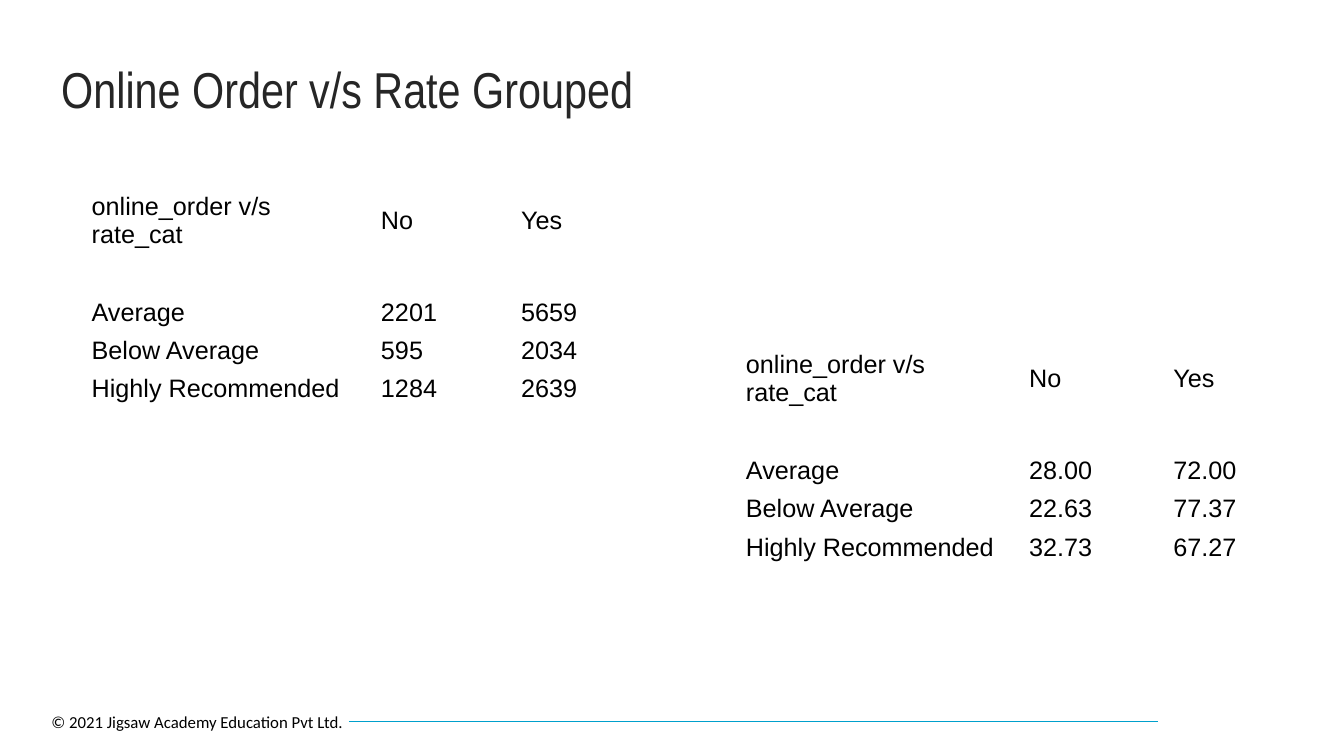
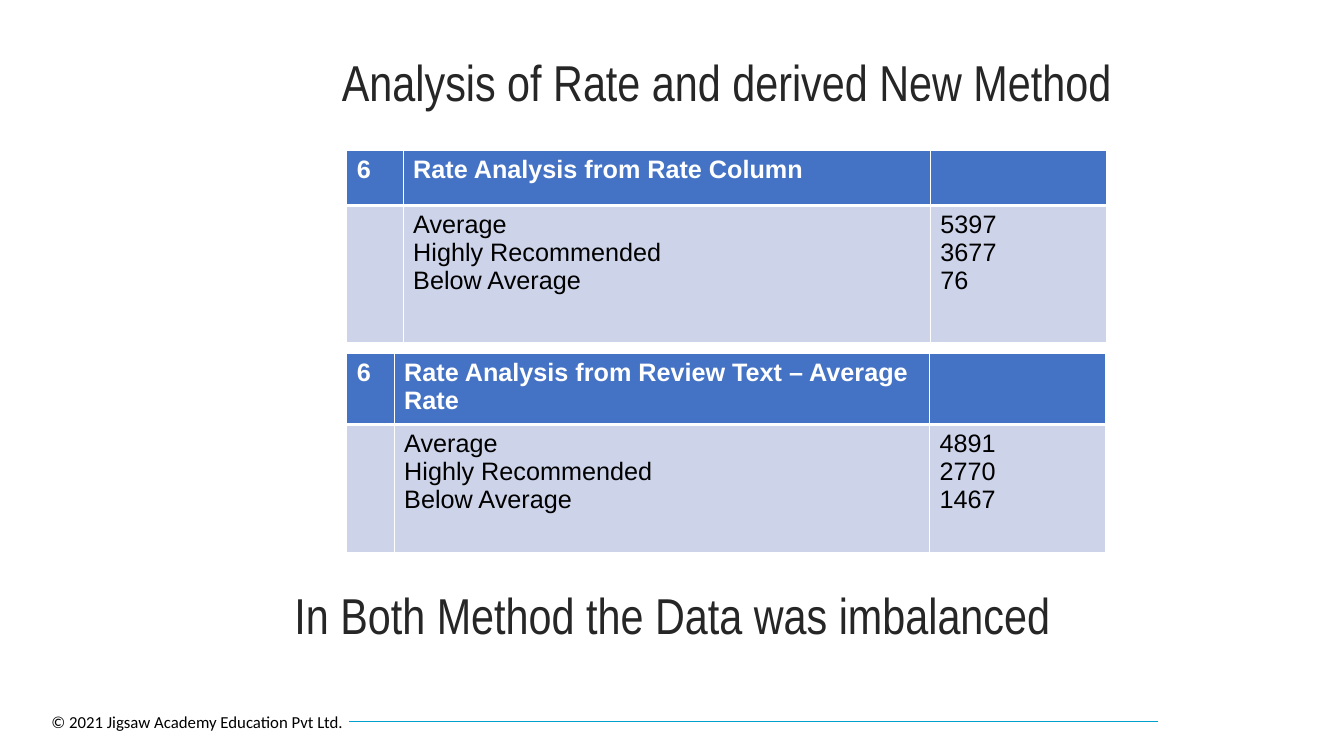
import pptx
import pptx.dml.color
import pptx.enum.shapes
import pptx.enum.text
import pptx.oxml
import pptx.oxml.ns
import pptx.util

SLIDE_WIDTH = pptx.util.Inches(13.333)
SLIDE_HEIGHT = pptx.util.Inches(7.5)
BLACK, WHITE, HEADING = "000000", "FFFFFF", "262626"
HEADER_FILL, BODY_FILL, RULE = "4472C4", "CDD4EA", "00A0CC"
MIDDLE = pptx.enum.text.MSO_ANCHOR.MIDDLE
TOP = pptx.enum.text.MSO_ANCHOR.TOP
LEFT = pptx.enum.text.PP_ALIGN.LEFT
CENTER = pptx.enum.text.PP_ALIGN.CENTER
CATEGORIES = ["Average", "Below Average", "Highly Recommended"]
RATINGS = "Average\nHighly Recommended\nBelow Average"


def across(percent):
    """Return a share of the slide's width."""
    return round(SLIDE_WIDTH * percent / 100)


def down(percent):
    """Return a share of the slide's height."""
    return round(SLIDE_HEIGHT * percent / 100)


def color(value):
    """Return the colour for a hex string."""
    return pptx.dml.color.RGBColor.from_string(value)


def write(frame, text, font="Arial", size=18, fill=BLACK, bold=False, align=LEFT, spacing=1.0):
    """Fill a text frame, one paragraph for each line of text."""
    frame.word_wrap = True
    for index, line in enumerate(text.split("\n")):
        paragraph = frame.add_paragraph() if index else frame.paragraphs[0]
        paragraph.alignment = align
        paragraph.line_spacing = spacing
        paragraph.font.size = pptx.util.Pt(size)
        if line:
            run = paragraph.add_run()
            run.text = line
            run.font.name = font
            run.font.size = pptx.util.Pt(size)
            run.font.bold = bold
            run.font.color.rgb = color(fill)


def add_text(slide, box, text, anchor=MIDDLE, **text_format):
    """Add a text box at the given shares of the slide."""
    left, top, width, height = box
    shape = slide.shapes.add_textbox(across(left), down(top), across(width), down(height))
    shape.text_frame.vertical_anchor = anchor
    write(shape.text_frame, text, **text_format)


def add_heading(slide, box, text, align=CENTER):
    """Add a line of heading text."""
    add_text(slide, box, text, font="Arial Narrow", size=36, fill=HEADING, align=align, spacing=0.9)


def add_footer(slide):
    """Add the copyright line and the rule beside it."""
    middle = down(95.47)
    rule = slide.shapes.add_connector(
        pptx.enum.shapes.MSO_CONNECTOR.STRAIGHT, across(25.95), middle, across(86.18), middle)
    rule.line.color.rgb = color(RULE)
    rule.line.width = pptx.util.Pt(0.75)
    properties = rule._element.spPr
    properties.append(properties.makeelement(pptx.oxml.ns.qn("a:effectLst"), {}))
    add_text(slide, (3.08, 93.47, 23.48, 4), "© 2021 Jigsaw Academy Education Pvt Ltd.",
             anchor=TOP, font="Calibri", size=12)


def add_table(slide, corner, columns, rows, values):
    """Add a table with the given column and row shares and return its cells by row."""
    left, top = corner
    frame = slide.shapes.add_table(len(rows), len(columns), across(left), down(top),
                                   across(sum(columns)), down(sum(rows)))
    table = frame.table
    table.first_row = table.horz_banding = False
    for column, width in zip(table.columns, columns):
        column.width = across(width)
    for row, height in zip(table.rows, rows):
        row.height = down(height)
    return [list(zip(row.cells, texts)) for row, texts in zip(table.rows, values)]


def set_borders(cell, **widths):
    """Draw white cell borders with the given widths in points."""
    properties = cell._tc.get_or_add_tcPr()
    for edge, width in widths.items():
        properties.append(pptx.oxml.parse_xml(
            f'<a:{edge} {pptx.oxml.ns.nsdecls("a")} w="{pptx.util.Pt(width)}">'
            f'<a:solidFill><a:srgbClr val="{WHITE}"/></a:solidFill></a:{edge}>'))


def set_fill(cell, value):
    """Fill a cell with one colour."""
    cell.fill.solid()
    cell.fill.fore_color.rgb = color(value)


def add_cross_table(slide, corner, columns, counts):
    """Add a plain cross table of rating category against online order."""
    values = [["online_order v/s rate_cat", "No", "Yes"], [""] * 3]
    values += [[category, *pair] for category, pair in zip(CATEGORIES, counts)]
    for row in add_table(slide, corner, columns, [8.4] + [4.9] * 4, values):
        for cell, text in row:
            cell.margin_left = cell.margin_right = pptx.util.Inches(0.08)
            cell.margin_top = cell.margin_bottom = pptx.util.Inches(0.04)
            cell.vertical_anchor = MIDDLE
            set_fill(cell, WHITE)
            write(cell.text_frame, text)


def add_rating_table(slide, corner, columns, rows, heading, counts):
    """Add a table with a blue header above one row of rating counts."""
    values = [["6", heading, ""], ["", RATINGS, counts]]
    header, body = add_table(slide, corner, columns, rows, values)
    for cell, text in header:
        set_borders(cell, lnL=1, lnR=1, lnT=1, lnB=3)
        set_fill(cell, HEADER_FILL)
        write(cell.text_frame, text, fill=WHITE, bold=True)
    for cell, text in body:
        set_borders(cell, lnL=1, lnR=1, lnT=3, lnB=1)
        set_fill(cell, BODY_FILL)
        write(cell.text_frame, text)


def add_slide(presentation):
    """Add a blank slide with the shared footer."""
    slide = presentation.slides.add_slide(presentation.slide_layouts[6])
    add_footer(slide)
    return slide


def build_order_slide(presentation):
    """Build the slide on online orders by rating group."""
    slide = add_slide(presentation)
    add_heading(slide, (3.82, 6.93, 92.33, 10.4), "Online Order v/s Rate Grouped", align=LEFT)
    add_cross_table(slide, (6.22, 24.67), [21.53, 10.43, 9.6],
                    [("2201", "5659"), ("595", "2034"), ("1284", "2639")])
    add_cross_table(slide, (54.9, 45.6), [21.08, 10.73, 10.58],
                    [("28.00", "72.00"), ("22.63", "77.37"), ("32.73", "67.27")])


def build_method_slide(presentation):
    """Build the slide comparing the two rating methods."""
    slide = add_slide(presentation)
    add_heading(slide, (10.95, 1.6, 86.25, 19.33), "Analysis of Rate and derived New Method")
    add_rating_table(slide, (25.8, 46.8), [3.53, 39.83, 13.13], [9.2, 16.93],
                     "Rate Analysis from Review Text – Average Rate", "4891\n2770\n1467")
    add_rating_table(slide, (25.8, 19.87), [4.2, 39.23, 13.13], [7.33, 18.13],
                     "Rate Analysis from Rate Column", "5397\n3677\n76")
    add_heading(slide, (6.9, 72.13, 86.25, 19.33), "In Both Method the Data was imbalanced")


def main():
    """Build and save the presentation."""
    presentation = pptx.Presentation()
    presentation.slide_width = SLIDE_WIDTH
    presentation.slide_height = SLIDE_HEIGHT
    build_order_slide(presentation)
    build_method_slide(presentation)
    presentation.save("out.pptx")


if __name__ == "__main__":
    main()
